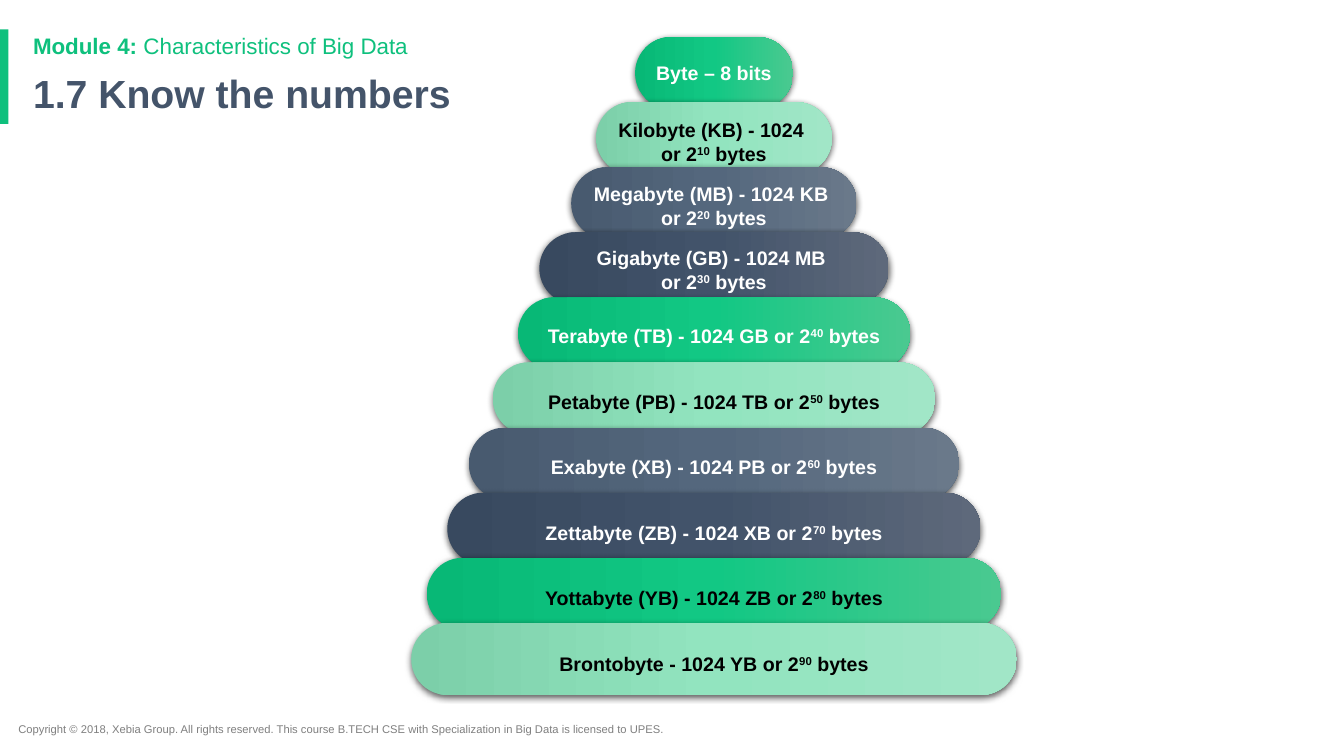
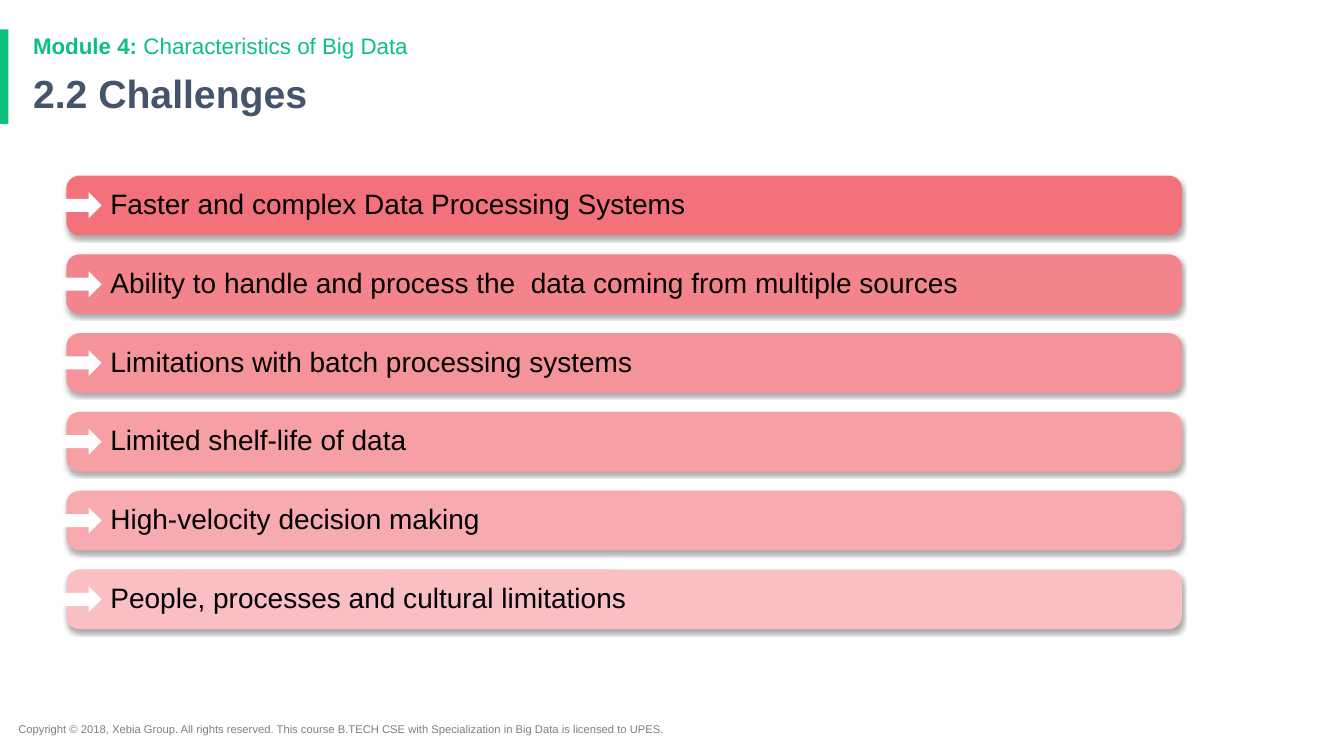
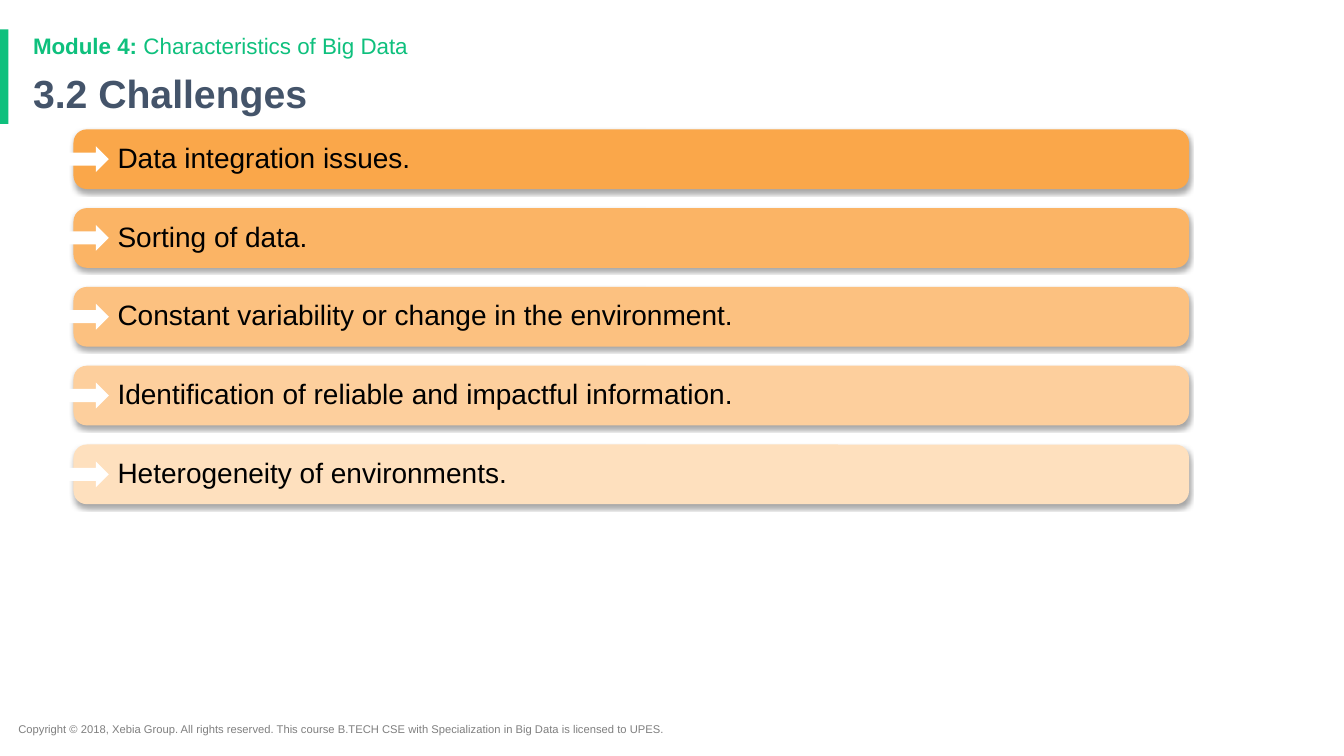
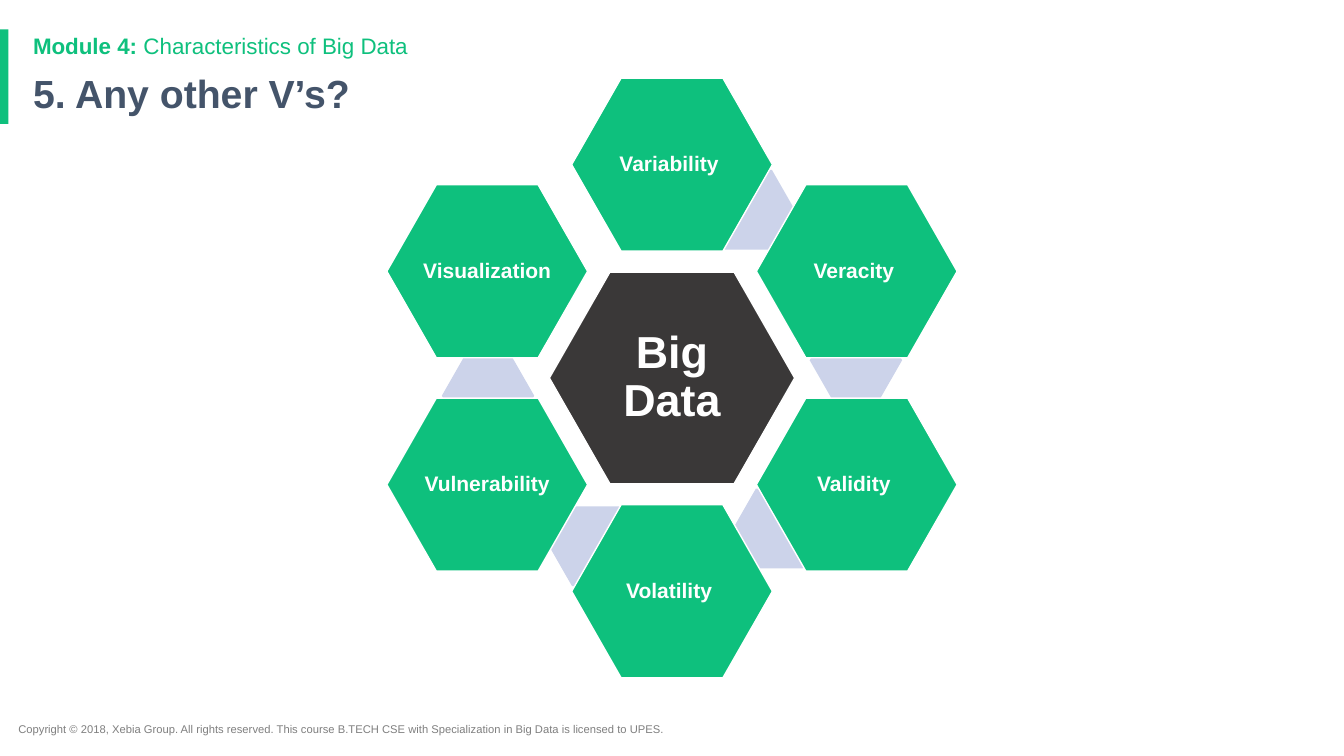
from copy import deepcopy
from dataclasses import dataclass
from math import cos, radians, sin

from lxml.etree import SubElement
from pptx import Presentation
from pptx.dml.color import RGBColor
from pptx.enum.shapes import MSO_SHAPE
from pptx.enum.text import MSO_ANCHOR, PP_ALIGN
from pptx.oxml.ns import qn
from pptx.util import Inches, Pt

COLUMNS, ROWS = 160, 90


@dataclass(frozen=True)
class Theme:
    font: str = "Arial"
    green: str = "0EC07D"
    slate: str = "44546A"
    grey: str = "7F7F7F"
    charcoal: str = "3A3838"
    lavender: str = "CCD3EA"
    white: str = "FFFFFF"
    black: str = "000000"
    gradients: tuple = (
        ("08B876", "12C884", "4AC990"),
        ("7CCFA9", "92E4BF", "A1E6C7"),
        ("485A6F", "54677D", "6A798A"),
        ("38495F", "42536A", "5E697B"),
    )
    reds: tuple = ("F2717A", "F4848C", "F5939A", "F6A0A6", "F7ABB0", "F9BFC3")
    oranges: tuple = ("FAA74A", "FBB465", "FCC180", "FDCF9D", "FEE0BE")
    footer_size: int = 8
    level_size: int = 14
    hexagon_size: int = 15
    module_size: int = 16
    bar_size: int = 20
    title_size: int = 28
    hub_size: int = 32
    # opacity %, blur pt, distance pt
    pill_shadow: tuple = (62, 4.5, 1.5)
    bar_shadow: tuple = (35, 3, 2)


THEME = Theme()
FOOTER = ("Copyright © 2018, Xebia Group. All rights reserved. This course "
          "B.TECH CSE with Specialization in Big Data is licensed to UPES.")

# Pill width in columns, space before the text, text colour, text, exponent
LEVELS = (
    (18.8, 0, THEME.white, "Byte – 8 bits", None),
    (28.1, 24, THEME.black, "Kilobyte (KB) - 1024 \nor 2", 10),
    (34, 12, THEME.white, "Megabyte (MB) - 1024 KB \nor 2", 20),
    (41.6, 12, THEME.white, "Gigabyte (GB) - 1024 MB \nor 2", 30),
    (46.7, 22, THEME.white, "Terabyte (TB) - 1024 GB or 2", 40),
    (52.7, 30, THEME.black, "Petabyte (PB) - 1024 TB or 2", 50),
    (58.4, 30, THEME.white, "Exabyte (XB) - 1024 PB or 2", 60),
    (63.5, 30, THEME.white, "Zettabyte (ZB) - 1024 XB or 2", 70),
    (68.4, 30, THEME.black, "Yottabyte (YB) - 1024 ZB or 2", 80),
    (72.1, 30, THEME.black, "Brontobyte - 1024 YB or 2", 90),
)
DATA_CHALLENGES = (
    "Faster and complex Data Processing Systems",
    "Ability to handle and process the  data coming from multiple sources",
    "Limitations with batch processing systems",
    "Limited shelf-life of data",
    "High-velocity decision making",
    "People, processes and cultural limitations",
)
VARIETY_CHALLENGES = (
    "Data integration issues.",
    "Sorting of data.",
    "Constant variability or change in the environment.",
    "Identification of reliable and impactful information.",
    "Heterogeneity of environments.",
)
OTHER_VS = ("Variability ", "Veracity ", "Validity ", "Volatility ",
            "Vulnerability ", "Visualization ")


def set_attributes(target, values):
    for name, value in values.items():
        setattr(target, name, value)


class Deck:
    """Holds the theme and the current slide; lengths are grid columns and rows."""

    def __init__(self, theme):
        self.theme = theme
        self.presentation = Presentation()
        set_attributes(self.presentation,
                       {"slide_width": Inches(13.333), "slide_height": Inches(7.5)})
        self.slide = None

    def grid(self, left, top, width, height):
        column = self.presentation.slide_width / COLUMNS
        row = self.presentation.slide_height / ROWS
        return (round(left * column), round(top * row),
                round(width * column), round(height * row))

    def add_slide(self, title):
        theme = self.theme
        layout = self.presentation.slide_layouts[6]
        self.slide = self.presentation.slides.add_slide(layout)
        self.add_shape(MSO_SHAPE.RECTANGLE, (0, 3.5, 1, 11.25), theme.green)
        self.add_text((1, 85.4, 85.6, 2.9), FOOTER, theme.footer_size, theme.grey)
        self.add_text((2.75, 8.3, 138, 6.5), title, theme.title_size, theme.slate,
                      bold=True, line_spacing=0.9)
        frame = self.add_text((2.75, 3.6, 138, 4), "Module 4:", theme.module_size,
                              theme.green, bold=True, line_spacing=0.9)
        self.add_run(frame.paragraphs[0], " Characteristics of Big Data",
                     theme.module_size, theme.green)

    def add_run(self, paragraph, text, size, color, bold=False, superscript=False):
        for index, line in enumerate(text.split("\n")):
            if index:
                paragraph.add_line_break()
            run = paragraph.add_run()
            run.text = line
            set_attributes(run.font, {"name": self.theme.font, "size": Pt(size),
                                      "bold": bold})
            run.font.color.rgb = RGBColor.from_string(color)
            if superscript:
                run.font._element.set("baseline", "30000")

    def add_frame(self, box):
        frame = self.slide.shapes.add_textbox(*self.grid(*box)).text_frame
        frame.word_wrap = True
        return frame

    def add_text(self, box, text, size, color, bold=False, line_spacing=None):
        frame = self.add_frame(box)
        paragraph = frame.paragraphs[0]
        paragraph.line_spacing = line_spacing
        self.add_run(paragraph, text, size, color, bold)
        return frame

    def add_shape(self, kind, box, fill, adjustment=None, outline=None, shadow=None):
        """Add a preset shape; fill is one colour or three for a gradient."""
        shape = self.slide.shapes.add_shape(kind, *self.grid(*box))
        if adjustment is not None:
            shape.adjustments[0] = adjustment
        if isinstance(fill, str):
            shape.fill.solid()
            shape.fill.fore_color.rgb = RGBColor.from_string(fill)
        else:
            self.fill_gradient(shape, fill)
        if outline:
            shape.line.color.rgb = RGBColor.from_string(outline)
            shape.line.width = Pt(1)
        else:
            shape.line.fill.background()
        shape.shadow.inherit = False
        if shadow:
            self.add_shadow(shape, *shadow)
        return shape

    def fill_gradient(self, shape, colors):
        shape.fill.gradient()
        shape.fill.gradient_angle = 0
        stop_list = shape._element.spPr.find(f".//{qn('a:gsLst')}")
        stop_list.append(deepcopy(stop_list[-1]))
        for index, (stop, color) in enumerate(zip(shape.fill.gradient_stops, colors)):
            stop.position = index / 2
            stop.color.rgb = RGBColor.from_string(color)

    def add_shadow(self, shape, opacity, blur, distance):
        effects = shape._element.spPr.find(qn("a:effectLst"))
        shadow = SubElement(effects, qn("a:outerShdw"), {
            "blurRad": str(Pt(blur)), "dist": str(Pt(distance)),
            "dir": "5400000", "algn": "ctr", "rotWithShape": "0"})
        color = SubElement(shadow, qn("a:srgbClr"), val=self.theme.black)
        SubElement(color, qn("a:alpha"), val=str(opacity * 1000))

    def label(self, shape, text, size, color, alignment, inset, bold=False, indent=0):
        """Write one vertically centred paragraph inside a shape."""
        frame = shape.text_frame
        margins = dict.fromkeys(("margin_left", "margin_top", "margin_right",
                                 "margin_bottom"), Inches(inset))
        set_attributes(frame, {**margins, "word_wrap": True,
                               "vertical_anchor": MSO_ANCHOR.MIDDLE})
        paragraph = frame.paragraphs[0]
        set_attributes(paragraph, {"alignment": alignment, "line_spacing": 0.9})
        if indent:
            properties = paragraph._p.get_or_add_pPr()
            properties.set("marL", str(Inches(indent)))
            properties.set("indent", "0")
        self.add_run(paragraph, text, size, color, bold)

    def add_pyramid(self, levels, center=85, middle=8.7, step=7.75, height=8.6):
        theme = self.theme
        for index, (width, *_) in enumerate(levels):
            box = (center - width / 2, middle + index * step - height / 2, width, height)
            self.add_shape(MSO_SHAPE.ROUNDED_RECTANGLE, box,
                           theme.gradients[index % len(theme.gradients)],
                           adjustment=0.5, shadow=theme.pill_shadow)
        frame = self.add_frame((63.4, 6.7, 43.2, 74.6))
        for index, (_, space, color, text, exponent) in enumerate(levels):
            paragraph = frame.add_paragraph() if index else frame.paragraphs[0]
            paragraph.alignment = PP_ALIGN.CENTER
            if space:
                paragraph.space_before = Pt(space)
            self.add_run(paragraph, text, theme.level_size, color, bold=True)
            if exponent:
                self.add_run(paragraph, str(exponent), theme.level_size, color,
                             bold=True, superscript=True)
                self.add_run(paragraph, " bytes", theme.level_size, color, bold=True)

    def add_bars(self, texts, colors, left, top):
        theme = self.theme
        step, width, height = 9.38, 132.8, 7.1
        arrow_width, arrow_height, overhang = 4.9, 3.1, 0.7
        for index, (text, color) in enumerate(zip(texts, colors)):
            bar_top = top + index * step
            bar = self.add_shape(MSO_SHAPE.ROUNDED_RECTANGLE,
                                 (left, bar_top, width, height), color,
                                 adjustment=0.222, shadow=theme.bar_shadow)
            self.label(bar, text, theme.bar_size, theme.black, PP_ALIGN.LEFT,
                       inset=0.1, indent=0.3)
            arrow_top = bar_top + (height - arrow_height) / 2
            self.add_shape(MSO_SHAPE.RIGHT_ARROW,
                           (left - overhang, arrow_top, arrow_width, arrow_height),
                           theme.white)

    def add_hexagon(self, radius, angle, width, height, fill, outline=None):
        """Place a hexagon around the slide centre, angle clockwise from the top."""
        center = COLUMNS / 2 + radius * sin(radians(angle))
        middle = ROWS / 2 - radius * cos(radians(angle))
        box = (center - width / 2, middle - height / 2, width, height)
        return self.add_shape(MSO_SHAPE.HEXAGON, box, fill, 0.286, outline)

    def add_hexagon_ring(self, hub_text, texts):
        theme = self.theme
        hub = self.add_hexagon(0, 0, 29.2, 25.2, theme.charcoal, theme.white)
        self.label(hub, hub_text, theme.hub_size, theme.white, PP_ALIGN.CENTER,
                   inset=0, bold=True)
        turn = 360 / len(texts)
        for index, text in enumerate(texts):
            angle = index * turn
            if index < len(texts) - 1:
                self.add_hexagon(22, angle + 24.5, 11, 9.5, theme.lavender)
            petal = self.add_hexagon(25.4, angle, 23.9, 20.6, theme.green, theme.white)
            self.label(petal, text, theme.hexagon_size, theme.white,
                       PP_ALIGN.CENTER, inset=0.02, bold=True)


def main():
    deck = Deck(THEME)
    deck.add_slide("1.7 Know the numbers")
    deck.add_pyramid(LEVELS)
    deck.add_slide("2.2 Challenges")
    deck.add_bars(DATA_CHALLENGES, THEME.reds, left=7.9, top=20.9)
    deck.add_slide("3.2 Challenges")
    deck.add_bars(VARIETY_CHALLENGES, THEME.oranges, left=8.75, top=15.4)
    deck.add_slide("5. Any other V’s?")
    deck.add_hexagon_ring("Big Data", OTHER_VS)
    deck.presentation.save("out.pptx")


if __name__ == "__main__":
    main()
